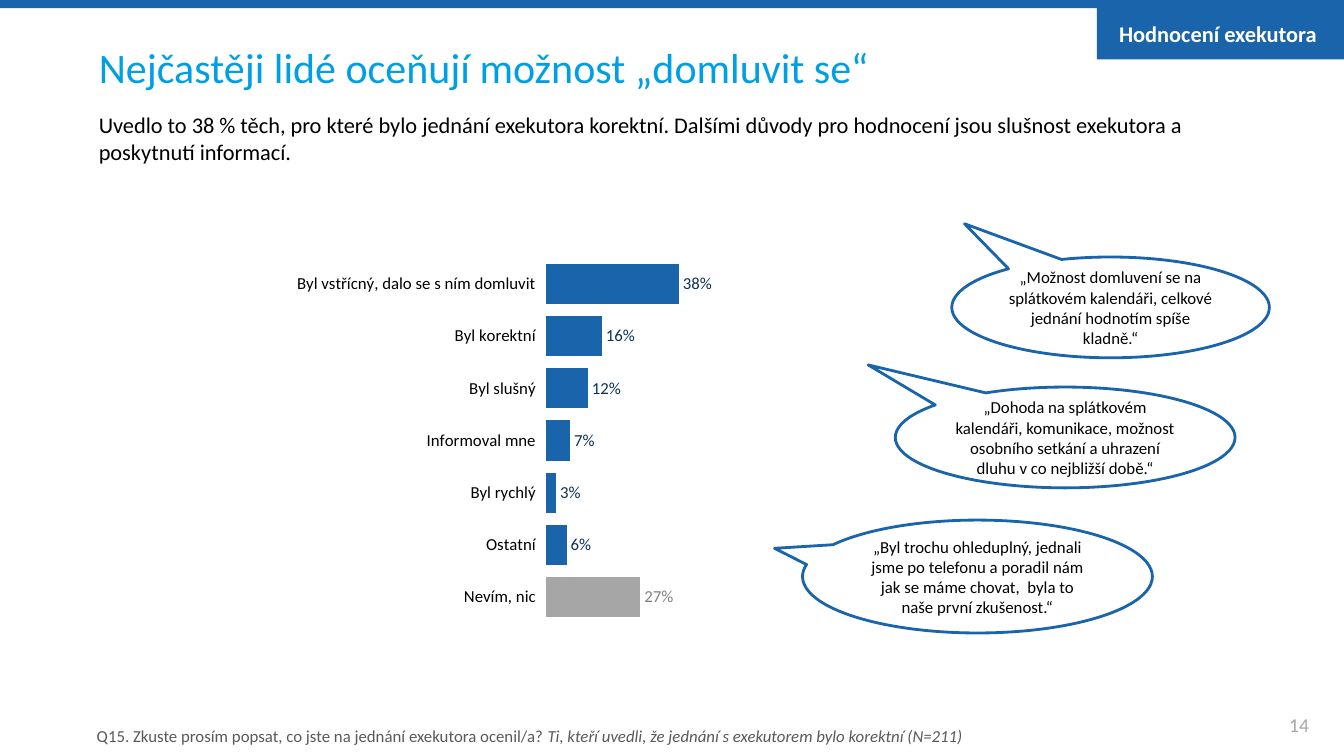
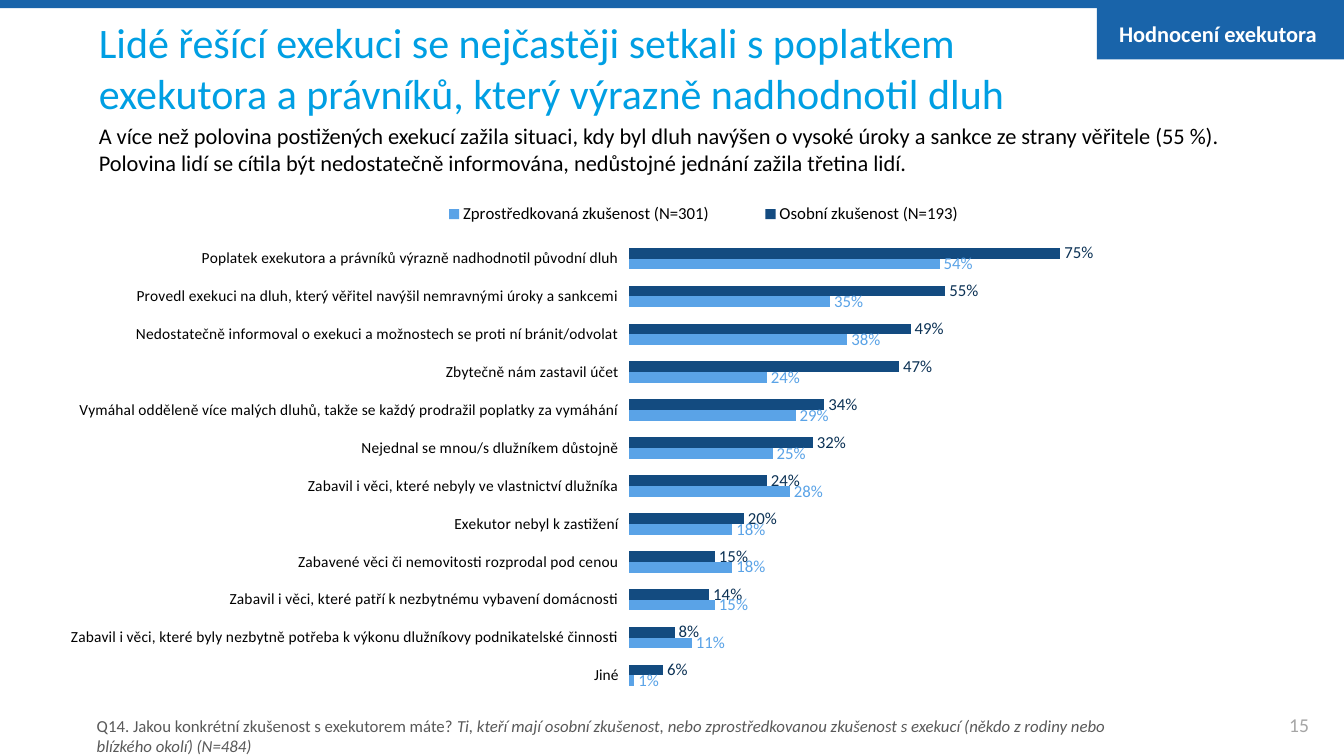
from lxml import etree
from pptx import Presentation, util as u
from pptx.chart import data
from pptx.dml.color import RGBColor
from pptx.enum import chart as ec, shapes, text
from pptx.oxml.ns import qn

HUES = {
    "blue": "1964AA", "title": "009FE3", "ink": "000000", "white": "FFFFFF",
    "note": "595959", "grey": "A6A6A6", "mute": "808080",
    "deep": "134B80", "sky": "5AA3E7", "navy": "0C3255",
}
FACE = "Calibri"
MID, TOP = text.MSO_ANCHOR.MIDDLE, text.MSO_ANCHOR.TOP
LEFT, CENTER = text.PP_ALIGN.LEFT, text.PP_ALIGN.CENTER
KIND = shapes.MSO_SHAPE


def hue(name):
    return RGBColor.from_string(HUES[name])


def box(*sides):
    return [u.Inches(side) for side in sides]


class Deck:
    """Holds the house style and the slide being built."""

    def __init__(self):
        self.prs = Presentation()
        self.prs.slide_width, self.prs.slide_height = box(13.33, 7.5)
        self.slide = None

    def font(self, font, size, color, bold=None):
        font.name, font.size, font.bold = FACE, u.Pt(size), bold
        font.color.rgb = hue(color)

    def fill_in(self, shape, parts, size, color, align=LEFT, anchor=MID,
                inset=(0.1, 0.05, 0.1, 0.05), bold=None, before=0):
        """Fill a shape with one paragraph; any second part is italic."""
        frame = shape.text_frame
        frame.word_wrap = True
        frame.auto_size = text.MSO_AUTO_SIZE.NONE
        frame.vertical_anchor = anchor
        (frame.margin_left, frame.margin_top,
         frame.margin_right, frame.margin_bottom) = box(*inset)
        para = frame.paragraphs[0]
        para.alignment, para.space_before = align, u.Pt(before)
        self.font(para.font, size, color, bold)
        for i, part in enumerate(parts):
            run = para.add_run()
            run.text = part
            if i:
                run.font.italic = True

    def label(self, at, parts, size, color, **style):
        self.fill_in(self.slide.shapes.add_textbox(*box(*at)),
                     parts, size, color, **style)

    def shape(self, kind, at, fill=None, line=None):
        item = self.slide.shapes.add_shape(kind, *box(*at))
        item.shadow.inherit = False
        if fill:
            item.fill.solid()
            item.fill.fore_color.rgb = hue(fill)
        else:
            item.fill.background()
        if line:
            item.line.color.rgb = hue(line)
            item.line.width = u.Pt(2)
        else:
            item.line.fill.background()
        return item

    def page(self, num, title, lead, note, wide=13.33, top=1.1):
        """Start a slide with its band, title, lead, footer and tab."""
        self.slide = self.prs.slides.add_slide(self.prs.slide_layouts[5])
        self.shape(KIND.RECTANGLE, (0, 0, 13.33, 0.08), "blue")
        head = self.slide.shapes.title
        head.left, head.top, head.width, head.height = box(0, 0.33, wide, 0.67)
        self.fill_in(head, [title], 30, "title", inset=(0.98, 0, 0, 0))
        self.label((0, top, 13.33, 0.72), [lead], 16, "ink", anchor=TOP,
                   inset=(0.98, 0, 0.98, 0), before=3.2)
        self.label((12.44, 6.99, 0.89, 0.4), [str(num)], 14, "grey",
                   align=CENTER)
        self.label((0.96, 7.1, 10.06, 0.4), note, 12, "note",
                   inset=(0, 0, 0, 0))
        tab = self.shape(KIND.RECTANGLE, (10.88, 0.07, 2.45, 0.52), "blue")
        self.fill_in(tab, ["Hodnocení exekutora "], 16, "white",
                     align=CENTER, bold=True)

    def quote(self, at, tip, words):
        """Draw a speech bubble whose tail ends at tip."""
        item = self.shape(KIND.OVAL_CALLOUT, at, line="blue")
        item.adjustments[0], item.adjustments[1] = tip
        self.fill_in(item, [words], 12, "ink", align=CENTER)

    def place(self, parent, spot, rect, inner=False):
        """Give a chart part a fixed place, in fractions of the chart."""
        for old in parent.findall(qn("c:layout")):
            parent.remove(old)
        layout = etree.Element(qn("c:layout"))
        parent.insert(spot, layout)
        fixed = etree.SubElement(layout, qn("c:manualLayout"))
        pairs = [("layoutTarget", "inner")] if inner else []
        pairs += [("xMode", "edge"), ("yMode", "edge")]
        pairs += zip("xywh", map(str, rect))
        for tag, val in pairs:
            etree.SubElement(fixed, qn("c:" + tag)).set("val", val)

    def bars(self, at, cats, rows, gap, size, plot, legend=None):
        """Add a bar chart; rows are (name, values, fill, label colour)."""
        feed = data.CategoryChartData(number_format="0%")
        feed.categories = cats
        for name, vals, _, _ in rows:
            feed.add_series(name, vals)
        chart = self.slide.shapes.add_chart(
            ec.XL_CHART_TYPE.BAR_CLUSTERED, *box(*at), feed).chart
        self.font(chart.font, 10.5, "ink")
        chart.has_title = False
        self.place(chart.plots[0]._element.getparent(), 0, plot, inner=True)

        # Axes
        axis = chart.category_axis
        axis.reverse_order = True
        axis.format.line.fill.background()
        self.font(axis.tick_labels.font, size, "ink")
        scale = chart.value_axis
        scale.minimum_scale, scale.maximum_scale = 0, 1
        scale.has_major_gridlines = False
        scale.visible = False

        # Legend
        chart.has_legend = bool(legend)
        if legend:
            key = chart.legend
            key.position = ec.XL_LEGEND_POSITION.TOP
            key.include_in_layout = False
            self.font(key.font, 12, "ink")
            self.place(key._element, 1, legend)

        # Bars and their labels
        bar = chart.plots[0]
        bar.gap_width, bar.overlap, bar.vary_by_categories = gap, 0, False
        for row, (_, _, fill, ink) in zip(bar.series, rows):
            row.invert_if_negative = False
            row.format.fill.solid()
            row.format.fill.fore_color.rgb = hue(fill)
            tags = row.data_labels
            tags.show_value = True
            tags.number_format, tags.number_format_is_linked = "0%", False
            tags.position = ec.XL_LABEL_POSITION.OUTSIDE_END
            self.font(tags.font, 12, ink)
        return chart

    def fade(self, chart, index):
        """Grey out one bar of the first series."""
        point = chart.plots[0].series[0].points[index]
        point.format.fill.solid()
        point.format.fill.fore_color.rgb = hue("grey")
        self.font(point.data_label.font, 12, "mute")
        point.data_label.position = ec.XL_LABEL_POSITION.OUTSIDE_END


def praise(deck):
    deck.page(
        14, "Nejčastěji lidé oceňují možnost „domluvit se“",
        "Uvedlo to 38 % těch, pro které bylo jednání exekutora korektní. "
        "Dalšími důvody pro hodnocení jsou slušnost exekutora a poskytnutí "
        "informací.",
        ["Q15. Zkuste prosím popsat, co jste na jednání exekutora ocenil/a? ",
         "Ti, kteří uvedli, že jednání s exekutorem bylo korektní (N=211)"])
    table = {
        "Byl vstřícný, dalo se s ním domluvit": 0.38,
        "Byl korektní": 0.16,
        "Byl slušný": 0.12,
        "Informoval mne": 0.07,
        "Byl rychlý": 0.03,
        "Ostatní": 0.06,
        "Nevím, nic": 0.27,
    }
    chart = deck.bars(
        (2.42, 2.44, 6.96, 3.94), list(table),
        [("Series 1", list(table.values()), "blue", "navy")],
        gap=30, size=12, plot=(0.43, 0.03, 0.5, 0.92))
    deck.fade(chart, len(table) - 1)
    for at, tip, words in [
        ((9.44, 2.55, 3.15, 1), (-0.46, -0.83),
         "„Možnost domluvení se na splátkovém kalendáři, celkové jednání "
         "hodnotím spíše kladně.“"),
        ((8.88, 3.84, 3.37, 1), (-0.58, -0.72),
         "„Dohoda na splátkovém kalendáři, komunikace, možnost osobního "
         "setkání a uhrazení dluhu v co nejbližší době.“"),
        ((7.96, 5.16, 3.47, 1.12), (-0.58, -0.25),
         "„Byl trochu ohleduplný, jednali jsme po telefonu a poradil nám "
         "jak se máme chovat,  byla to naše první zkušenost.“"),
    ]:
        deck.quote(at, tip, words)


def faults(deck):
    deck.page(
        15, "Lidé řešící exekuci se nejčastěji setkali s poplatkem exekutora "
        "a právníků, který výrazně nadhodnotil dluh",
        "A více než polovina postižených exekucí zažila situaci, kdy byl dluh "
        "navýšen o vysoké úroky a sankce ze strany věřitele (55 %). Polovina "
        "lidí se cítila být nedostatečně informována, nedůstojné jednání "
        "zažila třetina lidí.",
        ["Q14. Jakou konkrétní zkušenost s exekutorem máte? ",
         "Ti, kteří mají osobní zkušenost, nebo zprostředkovanou zkušenost "
         "s exekucí (někdo z rodiny nebo blízkého okolí) (N=484)"],
        wide=11.23, top=1.21)
    table = {
        "Poplatek exekutora a právníků výrazně nadhodnotil původní dluh":
            (0.75, 0.54),
        "Provedl exekuci na dluh, který věřitel navýšil nemravnými úroky "
        "a sankcemi": (0.55, 0.35),
        "Nedostatečně informoval o exekuci a možnostech se proti ní "
        "bránit/odvolat": (0.49, 0.38),
        "Zbytečně nám zastavil účet": (0.47, 0.24),
        "Vymáhal odděleně více malých dluhů, takže se každý prodražil "
        "poplatky za vymáhání": (0.34, 0.29),
        "Nejednal se mnou/s dlužníkem důstojně": (0.32, 0.25),
        "Zabavil i věci, které nebyly ve vlastnictví dlužníka": (0.24, 0.28),
        "Exekutor nebyl k zastižení": (0.2, 0.18),
        "Zabavené věci či nemovitosti rozprodal pod cenou": (0.15, 0.18),
        "Zabavil i věci, které patří k nezbytnému vybavení domácnosti":
            (0.14, 0.15),
        "Zabavil i věci, které byly nezbytně potřeba k výkonu dlužníkovy "
        "podnikatelské činnosti": (0.08, 0.11),
        "Jiné": (0.06, 0.01),
    }
    own, heard = zip(*table.values())
    deck.bars(
        (0.64, 1.82, 11.42, 5.07), list(table),
        [("Osobní zkušenost (N=193)", own, "deep", "navy"),
         ("Zprostředkovaná zkušenost (N=301)", heard, "sky", "sky")],
        gap=150, size=11, plot=(0.49, 0.11, 0.5, 0.89),
        legend=(0.29, 0.03, 0.53, 0.06))


def main():
    deck = Deck()
    praise(deck)
    faults(deck)
    deck.prs.save("out.pptx")


if __name__ == "__main__":
    main()
